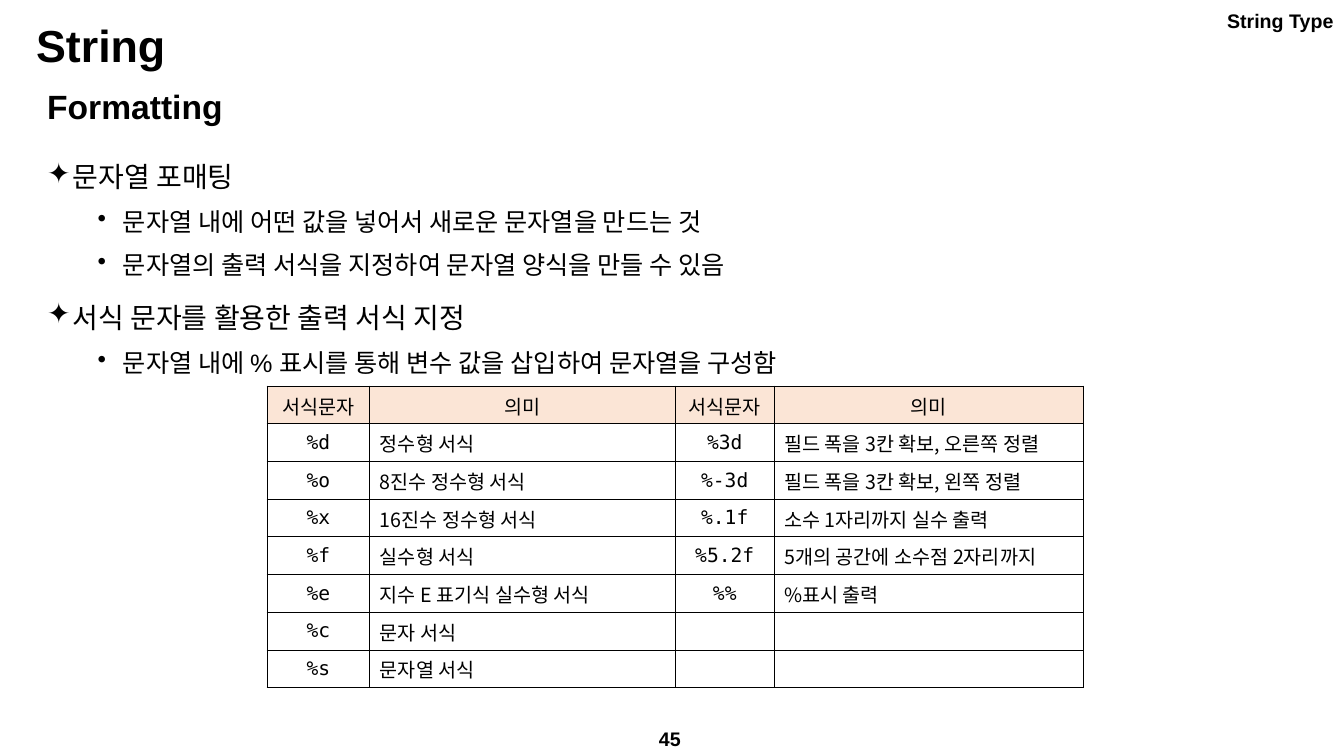
from dataclasses import dataclass

import lxml.etree
import pptx
import pptx.dml.color
import pptx.enum.text
import pptx.oxml.ns
import pptx.presentation
import pptx.slide
import pptx.table
import pptx.text.text
import pptx.util

Cm = pptx.util.Cm
Pt = pptx.util.Pt
RGB = pptx.dml.color.RGBColor
Align = pptx.enum.text.PP_ALIGN
Anchor = pptx.enum.text.MSO_ANCHOR


@dataclass(frozen=True)
class Theme:
    ink: RGB = RGB(0x00, 0x00, 0x00)
    header_fill: RGB = RGB(0xFB, 0xE5, 0xD6)
    latin: str = "Arial"
    korean: str = "Noto Sans CJK KR"
    code: str = "DejaVu Sans Mono"
    title: int = 32
    subtitle: int = 24
    topic: int = 20
    detail: int = 18
    small: int = 14
    border: float = 0.75


@dataclass(frozen=True)
class Label:
    text: str
    left: float
    top: float
    width: float
    height: float
    size: int
    align: Align = Align.LEFT
    line_spacing: float = 1.0


@dataclass(frozen=True)
class BulletStyle:
    level: int
    mark: str
    indent: float
    size: int
    space_before: int


THEME = Theme()
TOPIC = BulletStyle(0, "✦", 0.64, THEME.topic, 10)
DETAIL = BulletStyle(1, "•", 1.91, THEME.detail, 5)
HANGING = 0.64

LABELS = (
    Label("String", 0.66, 0.33, 32.26, 1.75, THEME.title, line_spacing=0.9),
    Label("Formatting", 0.94, 2.16, 32, 1.17, THEME.subtitle, line_spacing=0.9),
    Label("String Type", 23.14, 0, 10.72, 1.02, THEME.small, Align.RIGHT),
    Label("45", 12.93, 18.21, 7.9, 0.81, THEME.small, Align.CENTER),
)

OUTLINE = (
    (TOPIC, "문자열 포매팅"),
    (DETAIL, "문자열 내에 어떤 값을 넣어서 새로운 문자열을 만드는 것"),
    (DETAIL, "문자열의 출력 서식을 지정하여 문자열 양식을 만들 수 있음"),
    (TOPIC, "서식 문자를 활용한 출력 서식 지정"),
    (DETAIL, "문자열 내에 % 표시를 통해 변수 값을 삽입하여 문자열을 구성함"),
)

FORMAT_CODES = (
    ("서식문자", "의미", "서식문자", "의미"),
    ("%d", "정수형 서식", "%3d", "필드 폭을 3칸 확보, 오른쪽 정렬"),
    ("%o", "8진수 정수형 서식", "%-3d", "필드 폭을 3칸 확보, 왼쪽 정렬"),
    ("%x", "16진수 정수형 서식", "%.1f", "소수 1자리까지 실수 출력"),
    ("%f", "실수형 서식", "%5.2f", "5개의 공간에 소수점 2자리까지"),
    ("%e", "지수 E 표기식 실수형 서식", "%%", "%표시 출력"),
    ("%c", "문자 서식", "", ""),
    ("%s", "문자열 서식", "", ""),
)
COLUMN_WIDTHS = (2.59, 7.7, 2.49, 7.8)
ROW_HEIGHT = 0.95


def set_font(paragraph: pptx.text.text._Paragraph, name: str, size: int, bold: bool = False) -> None:
    """Set the paragraph font, with the Korean face for East Asian text."""
    font = paragraph.font
    font.name, font.size, font.bold = name, Pt(size), bold
    font.color.rgb = THEME.ink
    defaults = paragraph._p.pPr.find(pptx.oxml.ns.qn("a:defRPr"))
    east_asian = lxml.etree.SubElement(defaults, pptx.oxml.ns.qn("a:ea"))
    east_asian.set("typeface", THEME.korean)


def add_frame(slide: pptx.slide.Slide, left: float, top: float,
              width: float, height: float) -> pptx.text.text.TextFrame:
    frame = slide.shapes.add_textbox(Cm(left), Cm(top), Cm(width), Cm(height)).text_frame
    frame.word_wrap = True
    return frame


def add_label(slide: pptx.slide.Slide, label: Label) -> None:
    frame = add_frame(slide, label.left, label.top, label.width, label.height)
    frame.vertical_anchor = Anchor.MIDDLE
    paragraph = frame.paragraphs[0]
    paragraph.text = label.text
    paragraph.alignment = label.align
    paragraph.line_spacing = label.line_spacing
    set_font(paragraph, THEME.latin, label.size, bold=True)


def add_bullet(paragraph: pptx.text.text._Paragraph, style: BulletStyle) -> None:
    properties = paragraph._p.get_or_add_pPr()
    properties.set("marL", str(Cm(style.indent)))
    properties.set("indent", str(-Cm(HANGING)))
    mark = lxml.etree.SubElement(properties, pptx.oxml.ns.qn("a:buChar"))
    mark.set("char", style.mark)


def add_outline(slide: pptx.slide.Slide) -> None:
    frame = add_frame(slide, 0.94, 3.73, 32, 14.2)
    for index, (style, text) in enumerate(OUTLINE):
        paragraph = frame.add_paragraph() if index else frame.paragraphs[0]
        paragraph.text = text
        paragraph.level = style.level
        paragraph.line_spacing = 1.2
        paragraph.space_before = Pt(style.space_before)
        add_bullet(paragraph, style)
        set_font(paragraph, THEME.latin, style.size)


def add_borders(cell: pptx.table._Cell) -> None:
    properties = cell._tc.get_or_add_tcPr()
    for position, side in enumerate(("lnL", "lnR", "lnT", "lnB")):
        line = lxml.etree.Element(pptx.oxml.ns.qn(f"a:{side}"), w=str(Pt(THEME.border)))
        fill = lxml.etree.SubElement(line, pptx.oxml.ns.qn("a:solidFill"))
        lxml.etree.SubElement(fill, pptx.oxml.ns.qn("a:srgbClr"), val=str(THEME.ink))
        properties.insert(position, line)


def fill_cell(cell: pptx.table._Cell, text: str, is_header: bool, is_code: bool) -> None:
    if is_header:
        cell.fill.solid()
        cell.fill.fore_color.rgb = THEME.header_fill
    else:
        cell.fill.background()
    add_borders(cell)
    cell.vertical_anchor = Anchor.MIDDLE
    if not text:
        cell.margin_top = cell.margin_bottom = Cm(0)
        return
    paragraph = cell.text_frame.paragraphs[0]
    paragraph.text = text
    paragraph.alignment = Align.CENTER if is_header or is_code else Align.LEFT
    face = THEME.code if is_code and not is_header else THEME.korean
    set_font(paragraph, face, THEME.small)


def add_format_table(slide: pptx.slide.Slide) -> None:
    row_count = len(FORMAT_CODES)
    table = slide.shapes.add_table(
        row_count, len(COLUMN_WIDTHS), Cm(6.73), Cm(9.73),
        Cm(sum(COLUMN_WIDTHS)), Cm(ROW_HEIGHT * row_count)).table
    table.first_row = table.horz_banding = False
    for column, width in zip(table.columns, COLUMN_WIDTHS):
        column.width = Cm(width)
    for row_index, texts in enumerate(FORMAT_CODES):
        table.rows[row_index].height = Cm(ROW_HEIGHT)
        for column_index, text in enumerate(texts):
            fill_cell(table.cell(row_index, column_index), text,
                      is_header=row_index == 0, is_code=column_index % 2 == 0)


def main() -> None:
    presentation = pptx.Presentation()
    presentation.slide_width, presentation.slide_height = Cm(33.87), Cm(19.05)
    slide = presentation.slides.add_slide(presentation.slide_layouts[6])
    for label in LABELS:
        add_label(slide, label)
    add_outline(slide)
    add_format_table(slide)
    presentation.save("out.pptx")


if __name__ == "__main__":
    main()
